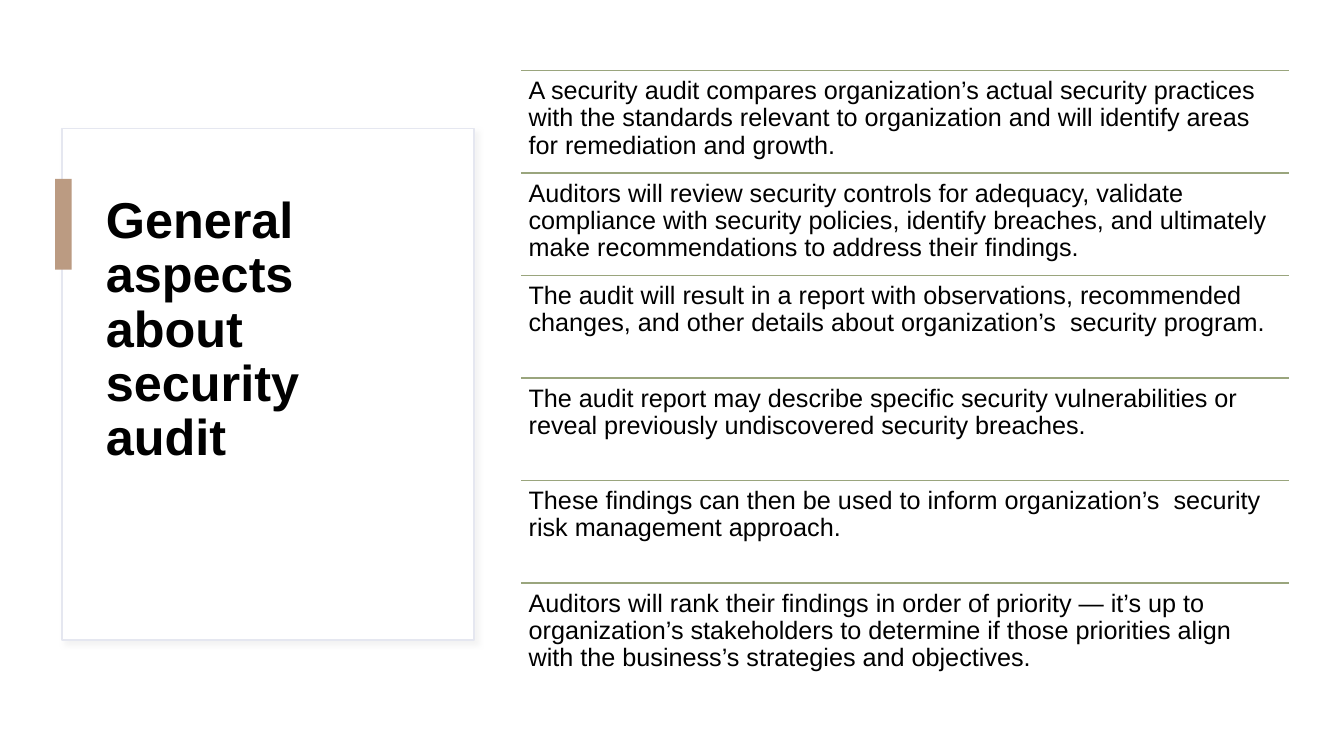
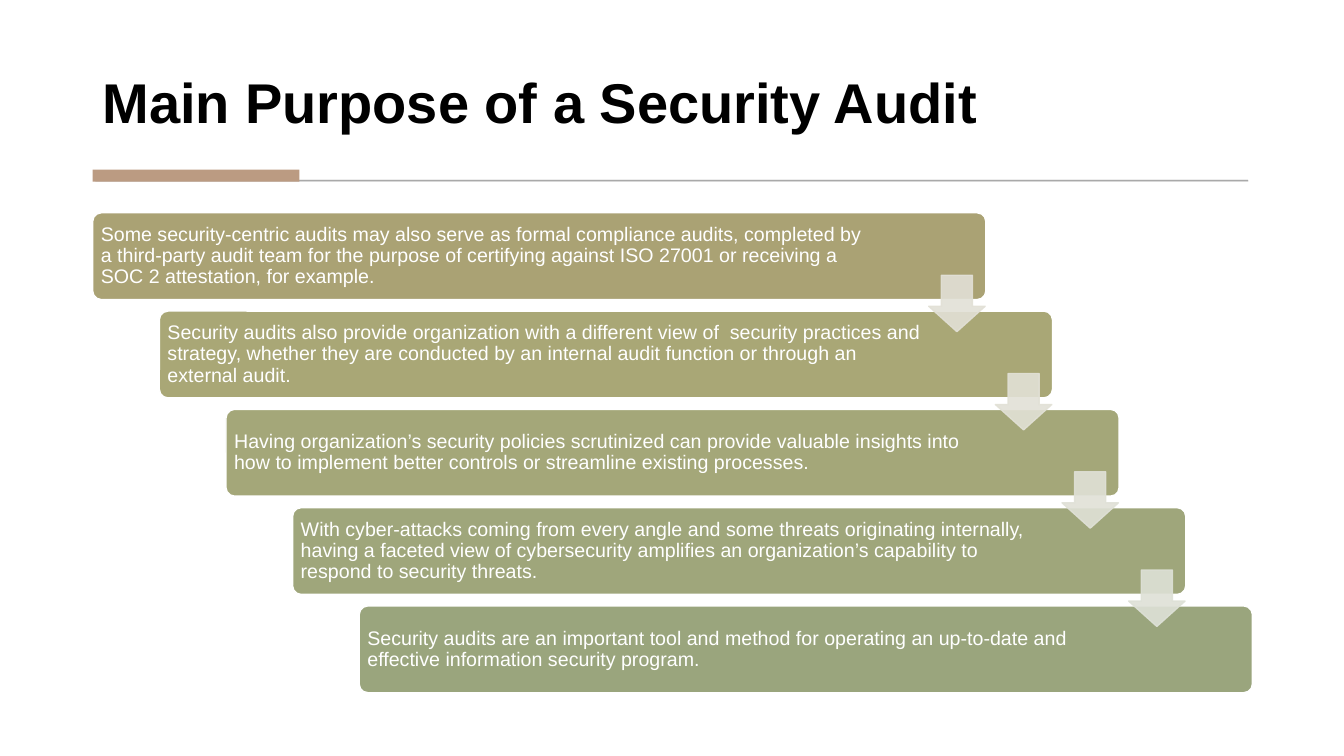
from dataclasses import dataclass

from lxml.etree import SubElement
from pptx import Presentation
from pptx.dml.color import RGBColor
from pptx.enum.shapes import MSO_CONNECTOR, MSO_SHAPE
from pptx.enum.text import MSO_ANCHOR, PP_ALIGN
from pptx.oxml.ns import qn
from pptx.util import Pt


@dataclass(frozen=True)
class Theme:
    font: str = "Arial"
    text: str = "000000"
    background: str = "FFFFFF"
    accent: str = "BB9B82"
    divider: str = "9AA57D"
    panel_line: str = "E5E7F0"
    panel_shadow: str = "D9D9D9"
    rule: str = "595959"
    steps: tuple = ("AAA274", "A9A776", "A4A779", "9FA67B", "9AA57D")
    arrows: tuple = ("E2E0D6", "E2E1D6", "E0E1D7", "DEE1D7")
    panel_title_size: int = 36
    title_size: int = 40
    body_size: int = 18
    step_size: int = 14


theme = Theme()


def write(shape, text, size, color=theme.text, bold=False,
          anchor=MSO_ANCHOR.TOP, margins=(7.2, 3.6, 7.2, 3.6)):
    """Fill a shape with one wrapped paragraph; margins run left, top, right, bottom."""
    frame = shape.text_frame
    frame.word_wrap = True
    frame.vertical_anchor = anchor
    (frame.margin_left, frame.margin_top,
     frame.margin_right, frame.margin_bottom) = map(Pt, margins)
    paragraph = frame.paragraphs[0]
    paragraph.alignment = PP_ALIGN.LEFT
    paragraph.line_spacing = 0.9
    run = paragraph.add_run()
    run.text = text
    run.font.name = theme.font
    run.font.size = Pt(size)
    run.font.bold = bold
    run.font.color.rgb = RGBColor.from_string(color)


def add_box(slide, kind, position, fill, line=None, line_width=1,
            opacity=100, adjustments=()):
    """Add a flat preset shape; opacity is a percentage for fill and line."""
    shape = slide.shapes.add_shape(kind, *map(Pt, position))
    shape.shadow.inherit = False
    for index, value in enumerate(adjustments):
        shape.adjustments[index] = value
    shape.fill.solid()
    shape.fill.fore_color.rgb = RGBColor.from_string(fill)
    if line:
        shape.line.color.rgb = RGBColor.from_string(line)
        shape.line.width = Pt(line_width)
    else:
        shape.line.fill.background()
    if opacity < 100:
        for color in shape.element.spPr.iter(qn("a:srgbClr")):
            SubElement(color, qn("a:alpha"), val=str(opacity * 1000))
    return shape


presentation = Presentation()
presentation.slide_width = Pt(960)
presentation.slide_height = Pt(540)
blank_layout = presentation.slide_layouts[6]

# General aspects: titled panel and a divided list
slide = presentation.slides.add_slide(blank_layout)
panel = add_box(slide, MSO_SHAPE.RECTANGLE, (44.2, 91.8, 294.5, 365.5),
                theme.background, theme.panel_line)
shadow = SubElement(panel.element.spPr.find(qn("a:effectLst")), qn("a:outerShdw"),
                    blurRad=str(Pt(4)), dist=str(Pt(3)), dir="2700000")
shadow_color = SubElement(shadow, qn("a:srgbClr"), val=theme.panel_shadow)
SubElement(shadow_color, qn("a:alpha"), val="30000")

title = slide.shapes.add_textbox(Pt(68.6), Pt(135.5), Pt(244), Pt(277))
write(title, "General aspects about security audit", theme.panel_title_size, bold=True)
add_box(slide, MSO_SHAPE.RECTANGLE, (39.4, 127.8, 11.7, 64.8), theme.accent)

aspects = [
    "A security audit compares organization’s actual security practices with the "
    "standards relevant to organization and will identify areas for remediation and growth.",
    "Auditors will review security controls for adequacy, validate compliance with "
    "security policies, identify breaches, and ultimately make recommendations to "
    "address their findings.",
    "The audit will result in a report with observations, recommended changes, and "
    "other details about organization’s  security program.",
    "The audit report may describe specific security vulnerabilities or reveal "
    "previously undiscovered security breaches.",
    "These findings can then be used to inform organization’s  security risk "
    "management approach.",
    "Auditors will rank their findings in order of priority — it’s up to organization’s "
    "stakeholders to determine if those priorities align with the business’s strategies "
    "and objectives.",
]
list_left, list_top, list_width, row_height = 372.2, 50.3, 548.6, 73.2
for row, aspect in enumerate(aspects):
    top = list_top + row * row_height
    divider = slide.shapes.add_connector(
        MSO_CONNECTOR.STRAIGHT, Pt(list_left), Pt(top), Pt(list_left + list_width), Pt(top))
    divider.line.color.rgb = RGBColor.from_string(theme.divider)
    divider.line.width = Pt(1)
    SubElement(divider.element.spPr, qn("a:effectLst"))
    entry = slide.shapes.add_textbox(Pt(list_left), Pt(top), Pt(list_width), Pt(row_height))
    write(entry, aspect, theme.body_size, margins=(5.4,) * 4)

# Main purpose: staircase of steps joined by arrows
slide = presentation.slides.add_slide(blank_layout)
title = slide.shapes.add_textbox(Pt(66.2), Pt(20.2), Pt(827.3), Pt(80))
write(title, "Main Purpose of a Security Audit", theme.title_size, bold=True,
      anchor=MSO_ANCHOR.BOTTOM)
add_box(slide, MSO_SHAPE.RECTANGLE, (68.4, 128.7, 823, 0.7), theme.rule, theme.rule,
        line_width=0.75, opacity=30)
add_box(slide, MSO_SHAPE.RECTANGLE, (66.2, 121.2, 147.6, 8.6), theme.accent)

# Each step: text and right margin
steps = [
    ("Some security-centric audits may also serve as formal compliance audits, completed "
     "by a third-party audit team for the purpose of certifying against ISO 27001 or "
     "receiving a SOC 2 attestation, for example.", 75),
    ("Security audits also provide organization with a different view of  security "
     "practices and strategy, whether they are conducted by an internal audit function "
     "or through an external audit.", 92),
    ("Having organization’s security policies scrutinized can provide valuable insights "
     "into how to implement better controls or streamline existing processes.", 92),
    ("With cyber-attacks coming from every angle and some threats originating internally, "
     "having a faceted view of cybersecurity amplifies an organization’s capability to "
     "respond to security threats.", 92),
    ("Security audits are an important tool and method for operating an up-to-date and "
     "effective information security program.", 92),
]
step_right, step_down = 47.6, 70.2
for index, ((text, right_margin), color) in enumerate(zip(steps, theme.steps)):
    position = (66.2 + index * step_right, 152 + index * step_down, 638, 62)
    step = add_box(slide, MSO_SHAPE.ROUNDED_RECTANGLE, position, color,
                   theme.background, adjustments=(0.1,))
    write(step, text, theme.step_size, theme.background, anchor=MSO_ANCHOR.MIDDLE,
          margins=(4, 4, right_margin, 4))

for index, color in enumerate(theme.arrows):
    position = (663.4 + index * step_right, 196.6 + index * step_down, 40.3, 40.3)
    add_box(slide, MSO_SHAPE.DOWN_ARROW, position, color, color, opacity=90,
            adjustments=(0.55, 0.45))

presentation.save("out.pptx")
